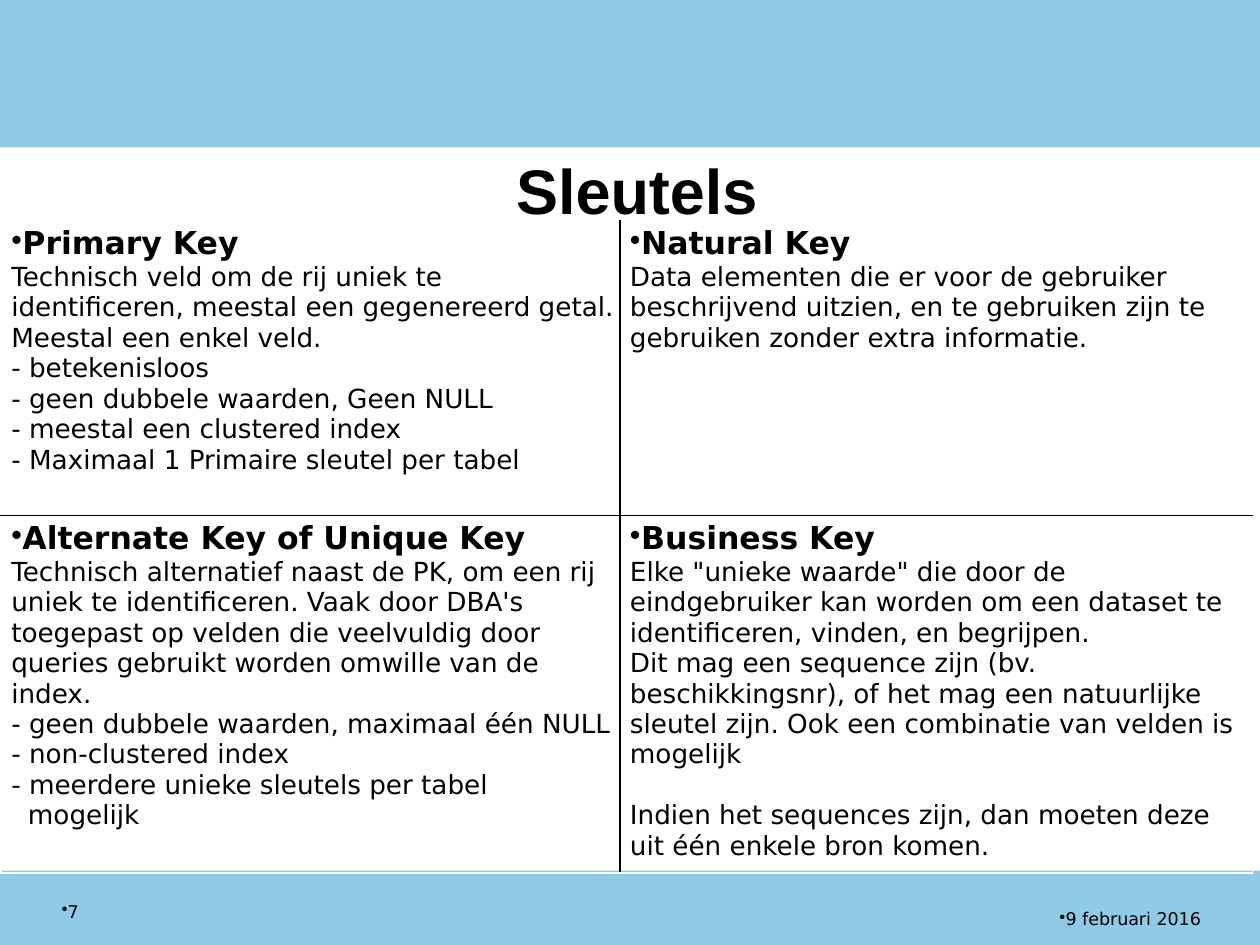
from copy import deepcopy

from pptx import Presentation, util as u
from pptx.dml.color import RGBColor
from pptx.enum import shapes, text
from pptx.oxml import parse_xml
from pptx.oxml.ns import nsdecls, qn

BLUE, BLACK, WHITE = "8FCAE7", "000000", "FFFFFF"
BODY_FONT, TITLE_FONT = "DejaVu Sans", "Arial"
WIDTH, HEIGHT = 10, 7.5

TITLE = "Sleutels"
BANDS = [(0, 1.17), (6.91, 0.59)]
FOOTERS = [
    ("9 februari 2016", (8.31, 7.16, 1.67, 0.31)),
    ("7", (0.39, 7.1, 0.79, 0.39)),
]
KEYS = [
    [
        ("Primary Key", [
            "Technisch veld om de rij uniek te identificeren, meestal een gegenereerd getal. "
            "Meestal een enkel veld.",
            "- betekenisloos",
            "- geen dubbele waarden, Geen NULL",
            "- meestal een clustered index",
            "- Maximaal 1 Primaire sleutel per tabel",
        ]),
        ("Natural Key", [
            "Data elementen die er voor de gebruiker beschrijvend uitzien, en te gebruiken "
            "zijn te gebruiken zonder extra informatie.",
        ]),
    ],
    [
        ("Alternate Key of Unique Key", [
            "Technisch alternatief naast de PK, om een rij uniek te identificeren. Vaak door "
            "DBA's toegepast op velden die veelvuldig door queries gebruikt worden omwille "
            "van de index.",
            "- geen dubbele waarden, maximaal één NULL",
            "- non-clustered index",
            "- meerdere unieke sleutels per tabel",
            "  mogelijk",
        ]),
        ("Business Key", [
            "Elke \"unieke waarde\" die door de eindgebruiker kan worden om een dataset te "
            "identificeren, vinden, en begrijpen.",
            "Dit mag een sequence zijn (bv. beschikkingsnr), of het mag een natuurlijke "
            "sleutel zijn. Ook een combinatie van velden is mogelijk",
            "",
            "Indien het sequences zijn, dan moeten deze uit één enkele bron komen.",
        ]),
    ],
]
COLUMNS, ROWS = [4.91, 5.02], [2.34, 2.83]


def color(value):
    return RGBColor.from_string(value)


def inches(*values):
    return [u.Inches(value) for value in values]


def format_run(run, size, bold=False, font=BODY_FONT):
    run.font.size = u.Pt(size)
    run.font.bold = bold
    run.font.name = font
    run.font.color.rgb = color(BLACK)


def add_bullet(paragraph):
    properties = paragraph._p.get_or_add_pPr()
    properties.set("marL", "0")
    properties.set("indent", "0")
    properties.append(parse_xml(f'<a:buChar {nsdecls("a")} char="•"/>'))


def add_band(slide, top, height):
    band = slide.shapes.add_shape(
        shapes.MSO_SHAPE.RECTANGLE, *inches(0, top, WIDTH, height))
    band.shadow.inherit = False
    band.fill.solid()
    band.fill.fore_color.rgb = color(BLUE)
    band.line.fill.background()


def add_footer(slide, content, box):
    frame = slide.shapes.add_textbox(*inches(*box)).text_frame
    frame.word_wrap = True
    paragraph = frame.paragraphs[0]
    paragraph.text = content
    add_bullet(paragraph)
    format_run(paragraph.runs[0], 10)


def set_title(slide):
    title = slide.shapes.title
    title.left, title.top, title.width, title.height = inches(0.35, 1.15, 9.41, 0.71)
    frame = title.text_frame
    frame.text = TITLE
    frame.vertical_anchor = text.MSO_ANCHOR.TOP
    frame.auto_size = text.MSO_AUTO_SIZE.NONE
    paragraph = frame.paragraphs[0]
    paragraph.alignment = text.PP_ALIGN.CENTER
    paragraph.space_before = u.Pt(4)
    format_run(paragraph.runs[0], 36, True, TITLE_FONT)


def set_borders(cell, row, column):
    inner = {"L": column > 0, "R": column < len(COLUMNS) - 1,
             "T": row > 0, "B": row < len(ROWS) - 1}
    properties = cell._tc.get_or_add_tcPr()
    for index, (side, is_inner) in enumerate(inner.items()):
        properties.insert(index, parse_xml(
            f'<a:ln{side} {nsdecls("a")} w="{u.Pt(1)}"><a:solidFill>'
            f'<a:srgbClr val="{BLACK if is_inner else WHITE}"/>'
            f'</a:solidFill></a:ln{side}>'))


def fill_cell(cell, heading, lines):
    cell.margin_left, cell.margin_top, cell.margin_right, cell.margin_bottom = inches(
        0.08, 0.04, 0.01, 0)
    cell.fill.background()
    paragraph = cell.text_frame.paragraphs[0]
    paragraph.text = "\n".join([heading, *lines])
    paragraph.space_before = u.Pt(3.6)
    add_bullet(paragraph)
    heading_run, *body_runs = paragraph.runs
    format_run(heading_run, 18, True)
    for run in body_runs:
        format_run(run, 15)
    for index, line_break in enumerate(paragraph._p.findall(qn("a:br"))):
        source = body_runs[0] if index else heading_run
        line_break.append(deepcopy(source._r.find(qn("a:rPr"))))


def add_key_table(slide):
    table = slide.shapes.add_table(
        len(ROWS), len(COLUMNS), *inches(0.01, 1.75, sum(COLUMNS), sum(ROWS))).table
    table.first_row = table.horz_banding = False
    for column, width in zip(table.columns, COLUMNS):
        column.width = u.Inches(width)
    for row, height in zip(table.rows, ROWS):
        row.height = u.Inches(height)
    for row, keys in enumerate(KEYS):
        for column, (heading, lines) in enumerate(keys):
            cell = table.cell(row, column)
            fill_cell(cell, heading, lines)
            set_borders(cell, row, column)


def main():
    presentation = Presentation()
    presentation.slide_width, presentation.slide_height = inches(WIDTH, HEIGHT)
    slide = presentation.slides.add_slide(presentation.slide_layouts[5])
    for band in BANDS:
        add_band(slide, *band)
    for footer in FOOTERS:
        add_footer(slide, *footer)
    set_title(slide)
    add_key_table(slide)
    presentation.save("out.pptx")


if __name__ == "__main__":
    main()
